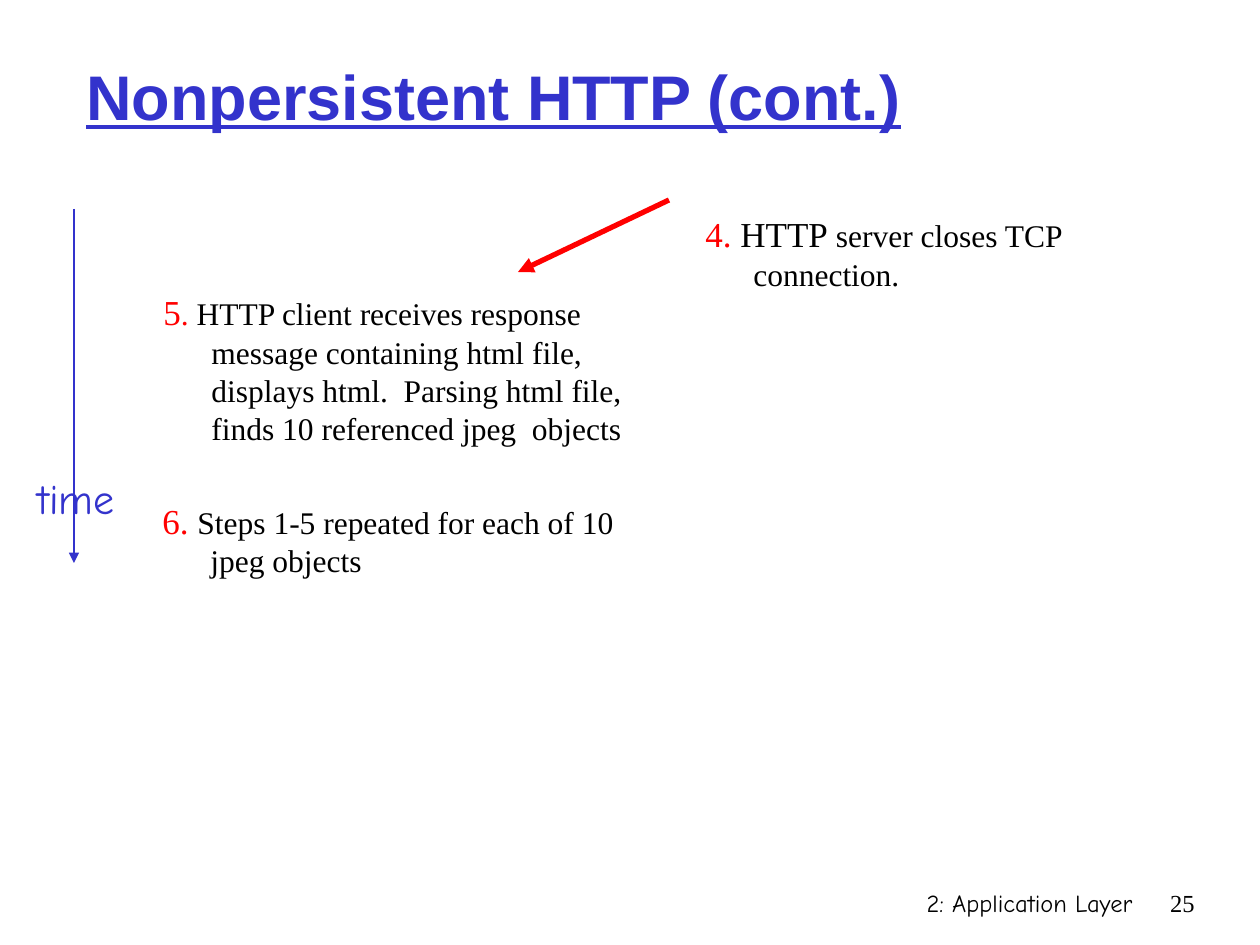
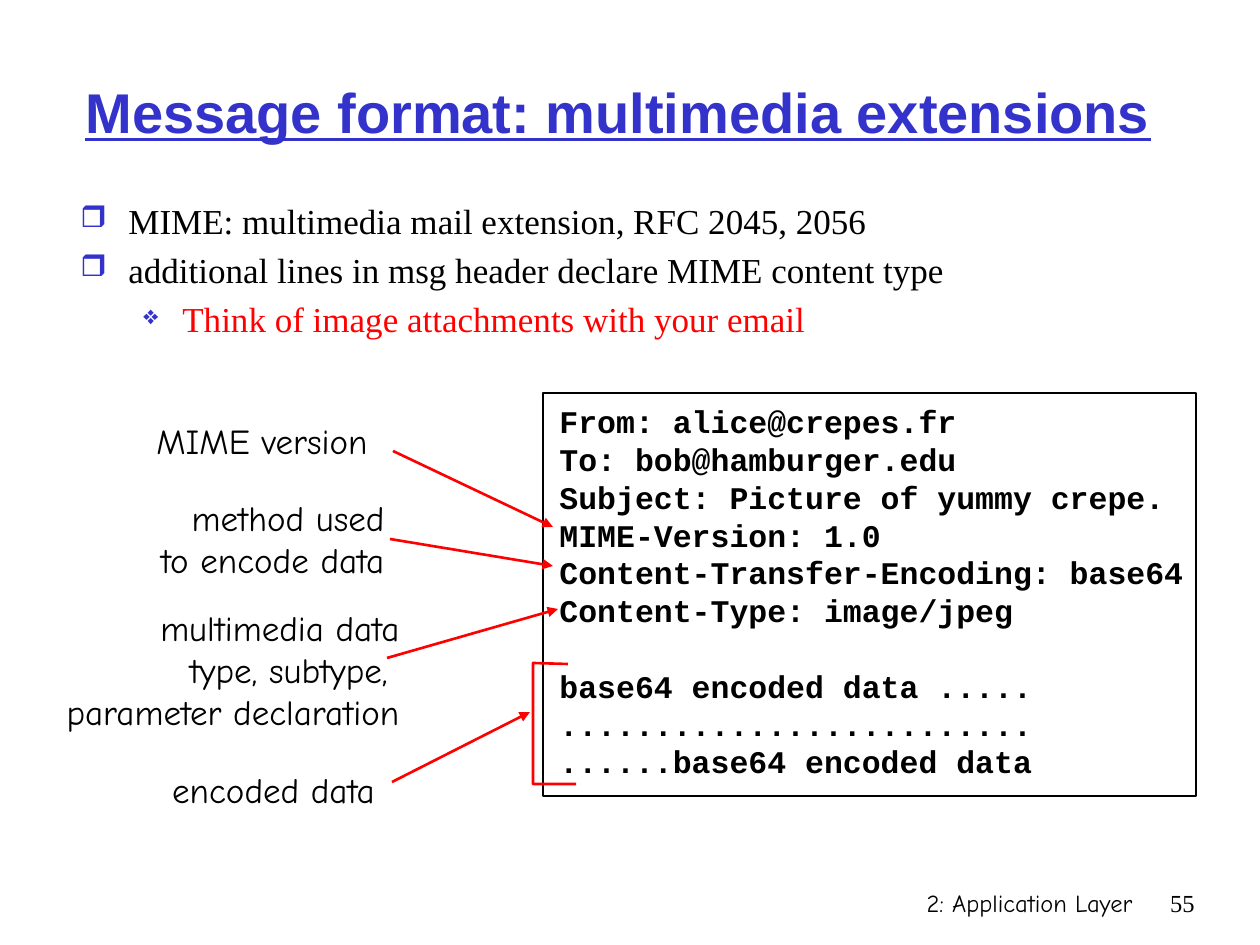
import pptx
import pptx.util
import pptx.dml.color
import pptx.enum.shapes
import pptx.enum.text
import pptx.oxml
import pptx.oxml.ns

EMU_PER_PX = 914400 / 126
LINE_HEIGHT = 1.2
COLORS = {"blue": "3333CC", "red": "FF0000", "black": "000000"}
STYLES = {
    "title": {"name": "Arial", "bold": True, "underline": True, "color": "blue"},
    "serif": {"name": "Times New Roman", "color": "black"},
    "hand": {"name": "Comic Neue", "color": "black"},
    "code": {"name": "Courier New", "bold": True, "color": "black"},
}
ALIGN = {
    "l": pptx.enum.text.PP_ALIGN.LEFT,
    "c": pptx.enum.text.PP_ALIGN.CENTER,
    "r": pptx.enum.text.PP_ALIGN.RIGHT,
}
FOOTER = "2: Application Layer"

# Each run: text, size in points, colour
STEPS = [
    ((151, 289, 525, 212), [
        ("5", 20, "red"), (".", 18, "red"),
        (" HTTP client receives response message containing html file, "
         "displays html.  Parsing html file, finds 10 referenced jpeg  objects", 18, "black")]),
    ((150, 497, 525, 92), [
        ("6. ", 20, "red"),
        ("Steps 1-5 repeated for each of 10 jpeg objects", 18, "black")]),
    ((693, 211, 525, 101), [
        ("4.", 20, "red"), (" HTTP", 20, "black"),
        (" server closes TCP connection.", 18, "black")]),
]

BULLETS = [
    (0, "MIME: multimedia mail extension, RFC 2045, 2056", "black"),
    (0, "additional lines in msg header declare MIME content type", "black"),
    (1, "Think of image attachments with your email", "red"),
]
# Per level: left margin px, hanging px, bullet, bullet size in percent
LEVELS = [(48, 48, "❒", 85), (102, 39, "❖", 75)]

MAIL_HEADER = [
    "From: alice@crepes.fr",
    "To: bob@hamburger.edu",
    "Subject: Picture of yummy crepe.",
    "MIME-Version: 1.0",
    "Content-Transfer-Encoding: base64",
    "Content-Type: image/jpeg",
]
MAIL_BODY = [
    "base64 encoded data .....",
    ".........................",
    "......base64 encoded data",
]
# Label lines, box, alignment, arrow start, arrow end
CALLOUTS = [
    (["multimedia data", "type, subtype, ", "parameter declaration"],
     (23, 600, 389, 139), "r", (387, 658), (558, 609)),
    (["method used", "to encode data"],
     (130, 490, 267, 97), "r", (390, 539), (553, 566)),
    (["MIME version"], (134, 413, 256, 54), "c", (393, 451), (553, 527)),
    (["encoded data"], (152, 762, 243, 54), "c", (392, 782), (530, 712)),
]
BRACKET = [(568, 664), (533, 663), (533, 784), (576, 784)]


def px(n):
    return pptx.util.Emu(round(n * EMU_PER_PX))


def rgb(color):
    return pptx.dml.color.RGBColor.from_string(COLORS[color])


def add_textbox(s, box, wrap=True, middle=False):
    tf = s.shapes.add_textbox(*map(px, box)).text_frame
    tf.word_wrap = wrap
    if middle:
        tf.vertical_anchor = pptx.enum.text.MSO_ANCHOR.MIDDLE
    return tf


def add_paragraph(tf, runs, style, align="l", before=0, margin=0, hanging=0):
    """Fill the empty first paragraph, or add one, with (text, size, colour) runs."""
    first = tf.paragraphs[0]
    p = tf.add_paragraph() if first.runs else first
    p.alignment = ALIGN[align]
    p.line_spacing = pptx.util.Pt(LINE_HEIGHT * min(size for _, size, _ in runs))
    if before and p is not first:
        p.space_before = pptx.util.Pt(before)
    if margin:
        pPr = p._p.get_or_add_pPr()
        pPr.set("marL", str(px(margin)))
        pPr.set("indent", str(-px(hanging)))
    for text, size, color in runs:
        r = p.add_run()
        r.text = text
        values = {**STYLES[style], "size": pptx.util.Pt(size)}
        r.font.color.rgb = rgb(color or values["color"])
        for key, value in values.items():
            if key != "color":
                setattr(r.font, key, value)
    return p


def add_bullet(p, char, percent):
    pPr = p._p.get_or_add_pPr()
    ns = pptx.oxml.ns.nsdecls("a")
    for xml in (
        f'<a:buClr {ns}><a:srgbClr val="{COLORS["blue"]}"/></a:buClr>',
        f'<a:buSzPct {ns} val="{percent * 1000}"/>',
        f'<a:buChar {ns} char="{char}"/>',
    ):
        pPr.append(pptx.oxml.parse_xml(xml))


def add_arrow(s, start, end, color, width):
    c = s.shapes.add_connector(
        pptx.enum.shapes.MSO_CONNECTOR.STRAIGHT, *map(px, start + end))
    c.line.color.rgb = rgb(color)
    c.line.width = pptx.util.Pt(width)
    ns = pptx.oxml.ns.nsdecls("a")
    c.line._get_or_add_ln().append(
        pptx.oxml.parse_xml(f'<a:tailEnd {ns} type="triangle"/>'))
    c._element.spPr.append(pptx.oxml.parse_xml(f"<a:effectLst {ns}/>"))


def outline(sp, color, width):
    sp.shadow.inherit = False
    sp.fill.background()
    sp.line.color.rgb = rgb(color)
    sp.line.width = pptx.util.Pt(width)


def add_slide(prs, number, title, size, title_box):
    s = prs.slides.add_slide(prs.slide_layouts[6])
    for text, box, style in (
        (FOOTER, (746, 882, 399, 63), "hand"),
        (str(number), (1144, 882, 63, 63), "serif"),
    ):
        add_paragraph(add_textbox(s, box), [(text, 14, None)], style, "r")
    add_paragraph(add_textbox(s, title_box, middle=True), [(title, size, None)], "title")
    return s


def build_nonpersistent(prs):
    s = add_slide(prs, 25, "Nonpersistent HTTP (cont.)", 36, (74, 35, 1071, 120))
    for box, runs in STEPS:
        add_paragraph(add_textbox(s, box), runs, "serif", margin=48, hanging=48)
    add_arrow(s, (74, 209), (74, 563), "blue", 1.5)
    time = add_textbox(s, (20, 466, 112, 63), wrap=False)
    add_paragraph(time, [("time", 24, "blue")], "hand", "c")
    add_arrow(s, (669, 200), (518, 272), "red", 3)


def build_mime(prs):
    s = add_slide(prs, 55, "Message format: multimedia extensions", 32,
                  (73, 32, 1155, 158))
    tf = add_textbox(s, (68, 193, 1009, 160))
    for level, text, color in BULLETS:
        margin, hanging, char, percent = LEVELS[level]
        p = add_paragraph(tf, [(text, 20, color)], "serif", before=4,
                          margin=margin, hanging=hanging)
        p.level = level
        add_bullet(p, char, percent)

    mail = add_textbox(s, (547, 396, 685, 400))
    for line in MAIL_HEADER + MAIL_BODY:
        gap = 18 * LINE_HEIGHT if line == MAIL_BODY[0] else 0
        add_paragraph(mail, [(line, 18, None)], "code", before=gap)
    frame = s.shapes.add_shape(
        pptx.enum.shapes.MSO_SHAPE.RECTANGLE, *map(px, (543, 393, 653, 403)))
    outline(frame, "black", 1)

    for lines, box, align, start, end in CALLOUTS:
        label = add_textbox(s, box, wrap=False)
        for line in lines:
            add_paragraph(label, [(line, 20, None)], "hand", align)
        add_arrow(s, start, end, "red", 1.5)

    points = [(px(x), px(y)) for x, y in BRACKET]
    bracket = s.shapes.build_freeform(*points[0])
    bracket.add_line_segments(points[1:], close=False)
    outline(bracket.convert_to_shape(), "red", 1.5)


def main():
    prs = pptx.Presentation()
    prs.slide_width, prs.slide_height = px(1260), px(945)
    build_nonpersistent(prs)
    build_mime(prs)
    prs.save("out.pptx")


if __name__ == "__main__":
    main()
